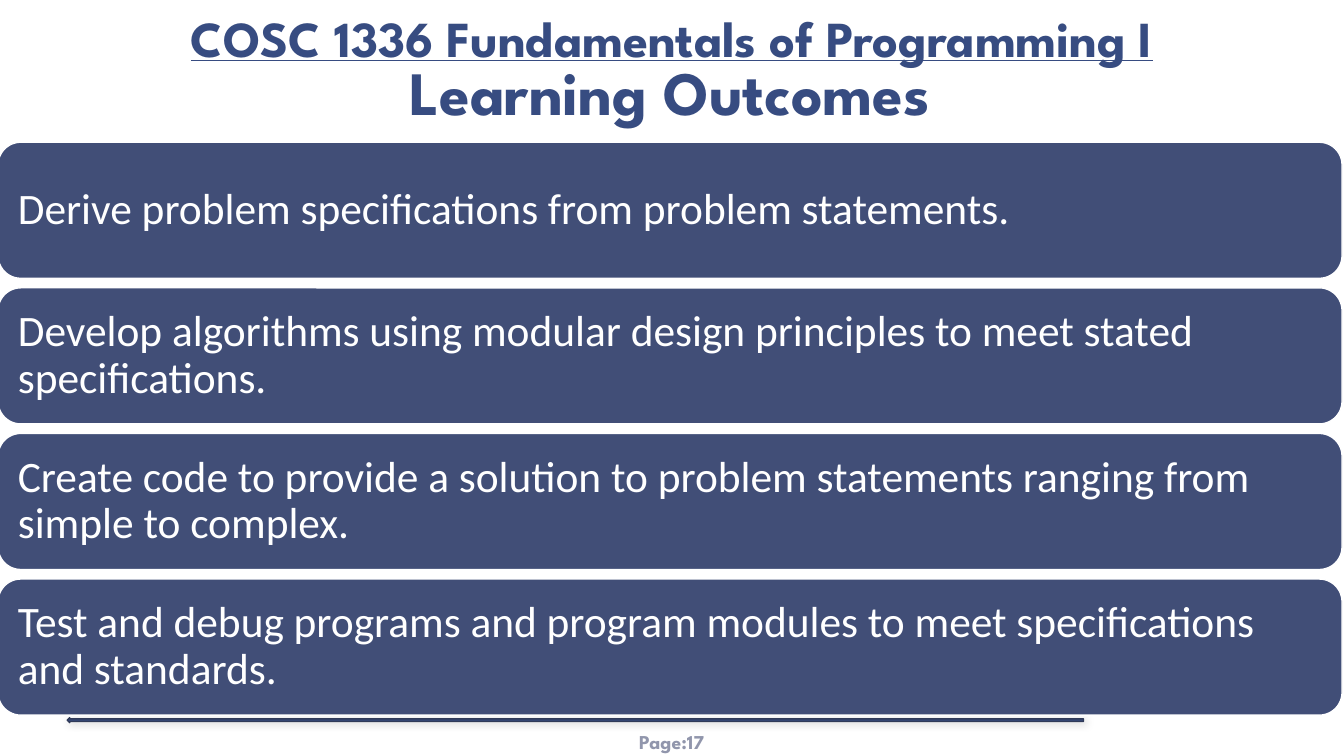
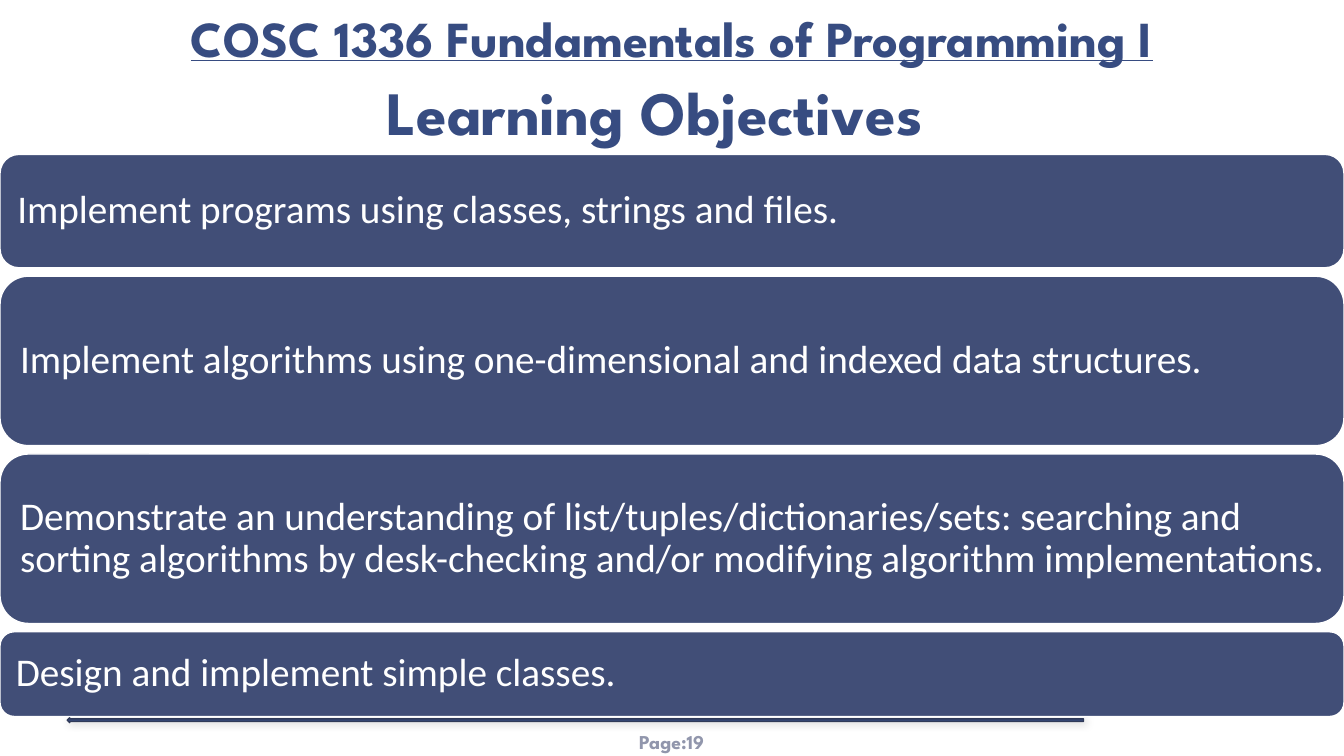
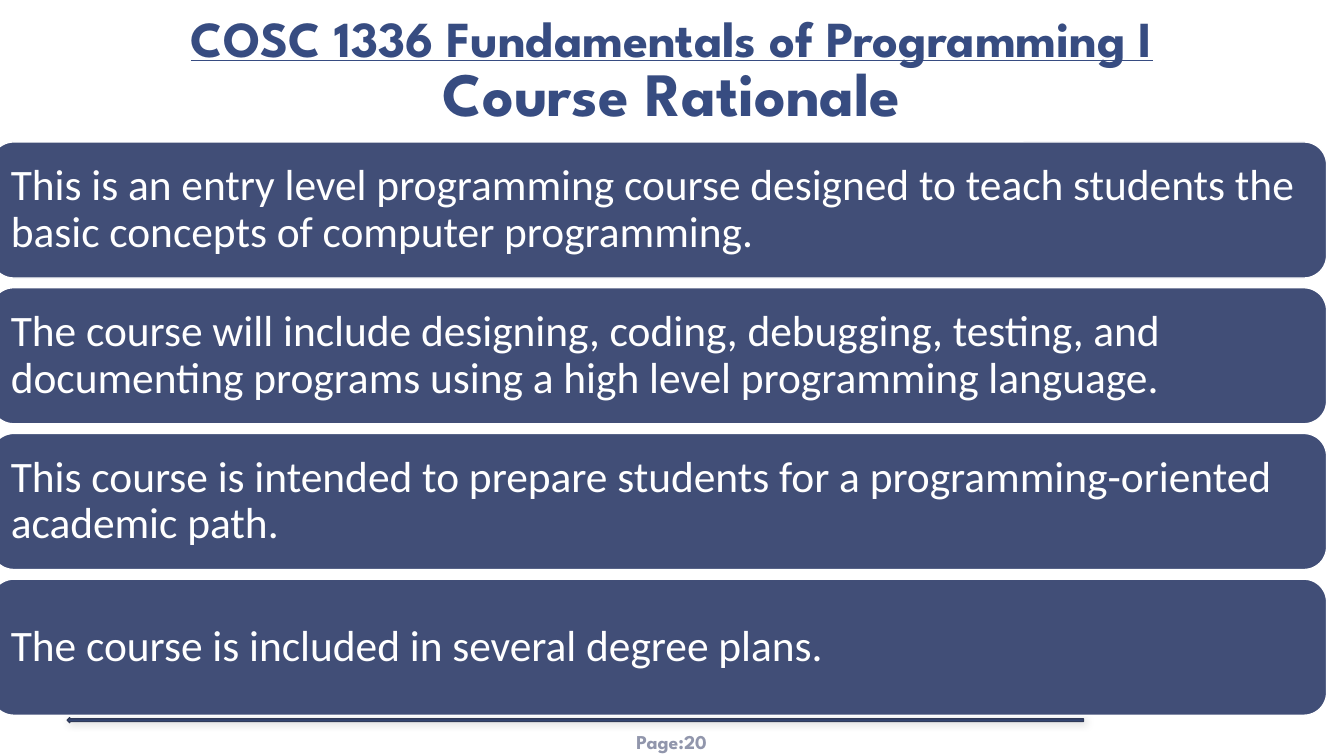
"""Build three course overview slides with stacked text bars."""
from pptx import Presentation
from pptx.dml.color import RGBColor
from pptx.enum.shapes import MSO_SHAPE
from pptx.enum.text import MSO_ANCHOR, PP_ALIGN
from pptx.oxml import parse_xml
from pptx.oxml.ns import nsdecls
from pptx.util import Pt

WIDE, HIGH = 960, 540
COURSE = "COSC 1336 Fundamentals of Programming I"
HEAD = "League Spartan"
NAVY, BAR, EDGE, GREY, WHITE = "374C81", "414E77", "303A58", "9196AC", "FFFFFF"

STYLES = {
    "course": {"name": HEAD, "size": Pt(36), "bold": True, "underline": True},
    "title": {"name": HEAD, "size": Pt(44), "bold": True},
    "page": {"name": HEAD, "size": Pt(14), "bold": True},
    "large": {"name": "Calibri", "size": Pt(31)},
    "small": {"name": "Calibri", "size": Pt(28)},
}

SLIDES = [
    {"page": 17, "title": "Learning Outcomes", "place": (-1.4, 33.8, WIDE, 62),
     "left": -1.4, "top": 101.6, "width": WIDE, "gap": 6.8, "style": "large", "pad": 9.4,
     "bars": [
         ("Derive problem specifications from problem statements.", 97.2),
         ("Develop algorithms using modular design principles to meet stated "
          "specifications.", 97.2),
         ("Create code to provide a solution to problem statements ranging from "
          "simple to complex.", 97.2),
         ("Test and debug programs and program modules to meet specifications "
          "and standards.", 97.2)]},
    {"page": 19, "title": "Learning Objectives", "place": (-12.2, 38.2, WIDE, 72),
     "left": 0, "top": 110.3, "width": WIDE, "gap": 6, "style": "small", "pad": 8.4,
     "bars": [
         ("Implement programs using classes, strings and files.", 81),
         ("Implement algorithms using one-dimensional and indexed data structures.", 121),
         ("Demonstrate an understanding of list/tuples/dictionaries/sets: searching "
          "and sorting algorithms by desk-checking and/or modifying algorithm "
          "implementations.", 121),
         ("Design and implement simple classes.", 60.5)]},
    {"page": 20, "title": "Course Rationale", "place": (0, 34.6, WIDE, 62),
     "left": -6.4, "top": 101.4, "width": 954, "gap": 6.9, "style": "large", "pad": 9.4,
     "bars": [
         ("This is an entry level programming course designed to teach students "
          "the basic concepts of computer programming.", 97.2),
         ("The course will include designing, coding, debugging, testing, and "
          "documenting programs using a high level programming language.", 97.2),
         ("This course is intended to prepare students for a programming-oriented "
          "academic path.", 97.2),
         ("The course is included in several degree plans.", 97.2)]},
]


def tint(hue):
    """Turn a hex string into a colour."""
    return RGBColor.from_string(hue)


def write(shape, text, style, hue, pad, anchor=MSO_ANCHOR.MIDDLE,
          align=PP_ALIGN.CENTER, line=1.0):
    """Fill a shape with one formatted paragraph."""
    frame = shape.text_frame
    frame.word_wrap = True
    frame.vertical_anchor = anchor
    for side, size in zip(("left", "top", "right", "bottom"), pad * 2):
        setattr(frame, f"margin_{side}", Pt(size))
    para = frame.paragraphs[0]
    para.alignment, para.line_spacing = align, line
    run = para.add_run()
    run.text = text
    for key, value in STYLES[style].items():
        setattr(run.font, key, value)
    run.font.color.rgb = tint(hue)


def draw(slide, kind, place, fill, edge):
    """Add a filled and outlined preset shape."""
    shape = slide.shapes.add_shape(kind, *map(Pt, place))
    shape.shadow.inherit = False
    shape.fill.solid()
    shape.fill.fore_color.rgb = tint(fill)
    shape.line.color.rgb = tint(edge)
    shape.line.width = Pt(1)
    return shape


def label(slide, place, *args, **more):
    """Add a text box with one formatted paragraph."""
    write(slide.shapes.add_textbox(*map(Pt, place)), *args, **more)


def shade(shape):
    """Give a shape a soft shadow."""
    effects = shape.element.spPr.find(
        "{http://schemas.openxmlformats.org/drawingml/2006/main}effectLst")
    effects.append(parse_xml(
        f'<a:outerShdw {nsdecls("a")} blurRad="{Pt(6)}" dist="{Pt(1)}" dir="2700000">'
        '<a:srgbClr val="000000"><a:alpha val="20000"/></a:srgbClr></a:outerShdw>'))


def frame(slide, data):
    """Add the footer, the title and the course name."""
    label(slide, (416, 515.5, 127.5, 29), f"Page:{data['page']}", "page", GREY, (3, 1.5))
    shade(draw(slide, MSO_SHAPE.LEFT_ARROW, (48, 512.6, 726, 3.6), NAVY, EDGE))
    title = slide.shapes.title
    for side, size in zip(("left", "top", "width", "height"), data["place"]):
        setattr(title, side, Pt(size))
    write(title, data["title"], "title", NAVY, (9.4, 5), MSO_ANCHOR.BOTTOM, line=0.8)
    label(slide, (0, 1.4, WIDE, 51), COURSE, "course", NAVY, (7.2, 3.6), MSO_ANCHOR.TOP)


def stack(slide, data):
    """Stack the text bars with equal gaps."""
    top = data["top"]
    for text, height in data["bars"]:
        bar = draw(slide, MSO_SHAPE.ROUNDED_RECTANGLE,
                   (data["left"], top, data["width"], height), BAR, WHITE)
        write(bar, text, data["style"], WHITE, (data["pad"],) * 2,
              align=PP_ALIGN.LEFT, line=0.9)
        top += height + data["gap"]


def main():
    """Build and save the slides."""
    deck = Presentation()
    deck.slide_width, deck.slide_height = Pt(WIDE), Pt(HIGH)
    for data in SLIDES:
        slide = deck.slides.add_slide(deck.slide_layouts[5])
        frame(slide, data)
        stack(slide, data)
    deck.save("out.pptx")


if __name__ == "__main__":
    main()
